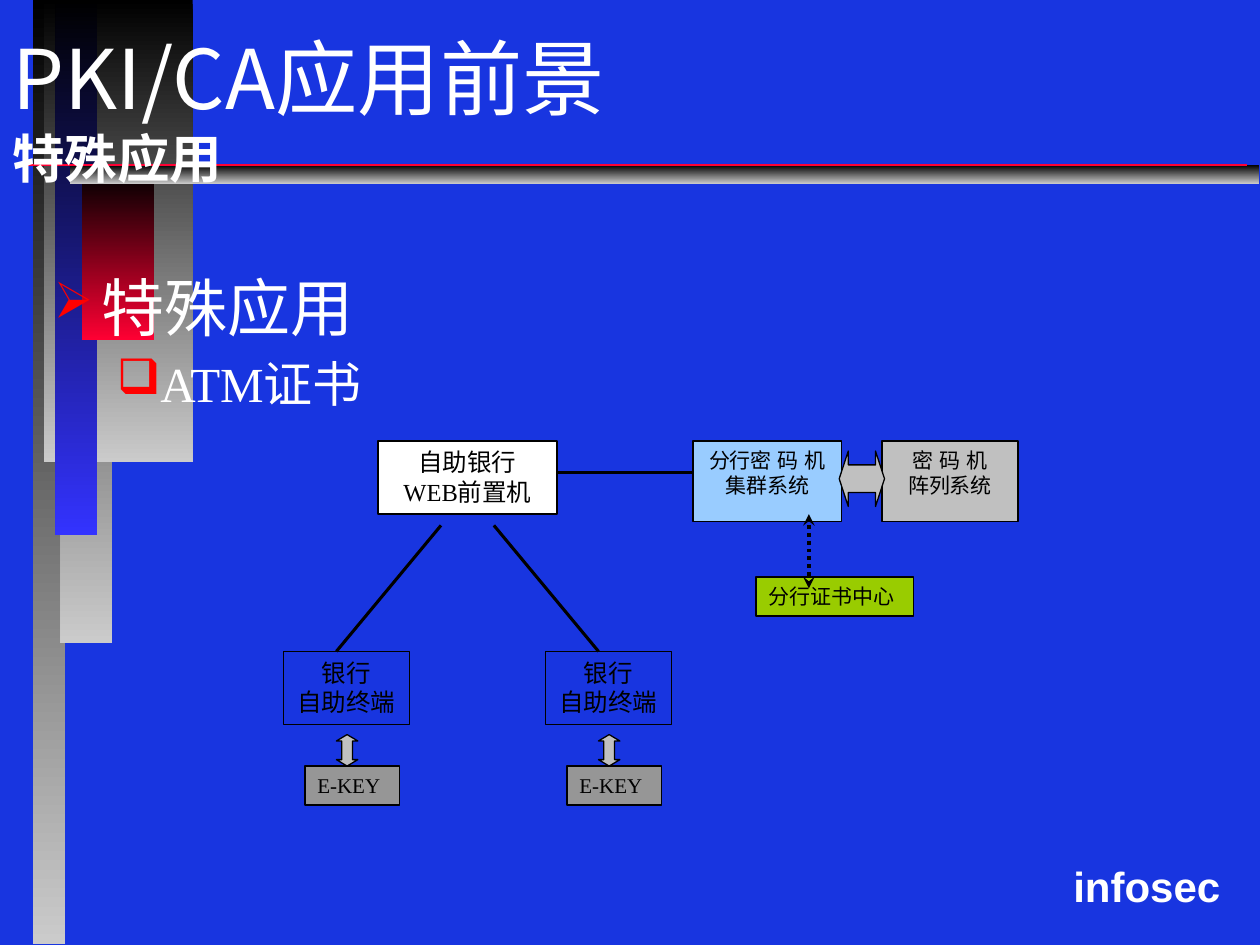
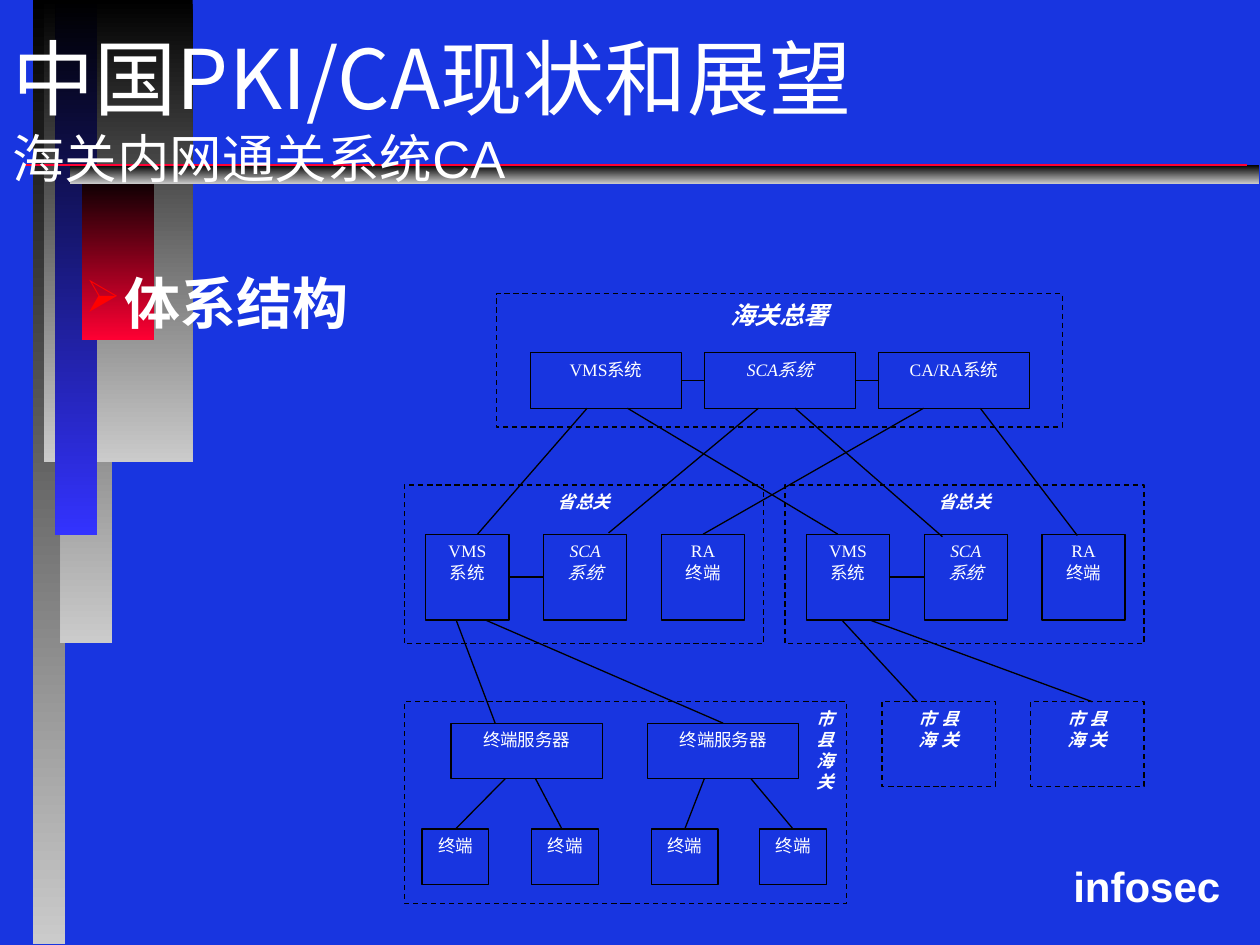
from dataclasses import dataclass

from lxml import etree
from pptx import Presentation
from pptx.dml.color import RGBColor
from pptx.enum import dml, shapes, text
from pptx.oxml import ns
from pptx.util import Inches, Pt


@dataclass(frozen=True)
class Theme:
    background: str = "1835E0"
    white: str = "FFFFFF"
    black: str = "000000"
    red: str = "FF0033"
    bullet: str = "FF0000"
    band_gray: str = "CBCBCB"
    band_blue: str = "3333FF"
    sky: str = "99CCFF"
    silver: str = "C0C0C0"
    gray: str = "969696"
    green: str = "99CC00"
    serif: str = "Times New Roman"
    sans: str = "Arial"
    heading: str = "Noto Sans CJK SC"
    title_size: float = 47
    subtitle_size: float = 30
    topic_size: float = 36
    subtopic_size: float = 32
    detail_size: float = 28
    brand_size: float = 24
    node_size: float = 14
    label_size: float = 12
    small_size: float = 10
    thin: float = 0.75


THEME = Theme()
CENTER, LEFT, RIGHT = text.PP_ALIGN.CENTER, text.PP_ALIGN.LEFT, text.PP_ALIGN.RIGHT
TOP_SIDE, LEFT_SIDE, RIGHT_SIDE = 0, 1, 3
RECTANGLE = shapes.MSO_SHAPE.RECTANGLE
DASH = dml.MSO_LINE.DASH


def rgb(color):
    return RGBColor.from_string(color)


# Text helpers
def set_font(font, properties, size, name=THEME.serif, color=THEME.white, bold=False, italic=False):
    font.size, font.name = Pt(size), name
    font.bold, font.italic = bold, italic
    font.color.rgb = rgb(color)
    # Chinese characters stay sans serif beside serif Latin letters
    chinese = THEME.sans if name == THEME.serif else name
    east_asian = etree.Element(ns.qn("a:ea"), typeface=chinese)
    properties.find(ns.qn("a:latin")).addnext(east_asian)


def style_paragraph(paragraph, size, **style):
    font = paragraph.font
    set_font(font, paragraph._p.pPr.find(ns.qn("a:defRPr")), size, **style)


def add_text_box(slide, left, top, width, height):
    box = slide.shapes.add_textbox(Inches(left), Inches(top), Inches(width), Inches(height))
    box.text_frame.word_wrap = True
    return box.text_frame


def add_title(slide, title, subtitle, **subtitle_style):
    frame = add_text_box(slide, 0, 0, 10, 1.55)
    frame.vertical_anchor = text.MSO_ANCHOR.BOTTOM
    paragraph = frame.paragraphs[0]
    run = paragraph.add_run()
    run.text = title
    set_font(run.font, run.font._element, THEME.title_size, name=THEME.heading)
    paragraph.add_line_break()
    run = paragraph.add_run()
    run.text = subtitle
    set_font(run.font, run.font._element, THEME.subtitle_size, **subtitle_style)


def style_bullet(paragraph, mark, margin, hanging, percent=100):
    properties = paragraph._p.get_or_add_pPr()
    properties.set("marL", str(Inches(margin)))
    properties.set("indent", str(-Inches(hanging)))
    color = etree.SubElement(properties, ns.qn("a:buClr"))
    etree.SubElement(color, ns.qn("a:srgbClr"), val=THEME.bullet)
    etree.SubElement(properties, ns.qn("a:buSzPct"), val=str(percent * 1000))
    etree.SubElement(properties, ns.qn("a:buChar"), char=mark)


# Shape helpers
def add_shape(slide, kind, left, top, width, height, fill=None, dash=None):
    shape = slide.shapes.add_shape(kind, Inches(left), Inches(top), Inches(width), Inches(height))
    shape.shadow.inherit = False
    if fill:
        shape.fill.solid()
        shape.fill.fore_color.rgb = rgb(fill)
    else:
        shape.fill.background()
    shape.line.color.rgb = rgb(THEME.black)
    shape.line.width = Pt(THEME.thin)
    if dash:
        shape.line.dash_style = dash
    return shape


def add_box(slide, label, left, top, width, height, size=THEME.small_size,
            fill=None, dash=None, align=CENTER, **style):
    box = add_shape(slide, RECTANGLE, left, top, width, height, fill, dash)
    frame = box.text_frame
    frame.word_wrap = True
    frame.vertical_anchor = text.MSO_ANCHOR.TOP
    frame.text = label
    for paragraph in frame.paragraphs:
        paragraph.alignment = align
        style_paragraph(paragraph, size, **style)
    return box


def add_double_arrow(slide, left, top, width, height, head, rotation=0):
    arrow = add_shape(slide, shapes.MSO_SHAPE.UP_DOWN_ARROW, left, top, width, height, THEME.silver)
    arrow.rotation = rotation
    # Shaft width and head length
    guides = arrow._element.spPr.find(ns.qn("a:prstGeom")).find(ns.qn("a:avLst"))
    for guide in list(guides):
        guides.remove(guide)
    for name, share in (("adj1", 0.5), ("adj2", head)):
        etree.SubElement(guides, ns.qn("a:gd"), name=name, fmla=f"val {round(share * 100000)}")


def add_line(slide, start, end, width=THEME.thin, color=THEME.black, dash=None,
             arrowheads=None, begin_at=None, end_at=None):
    points = [Inches(value) for value in (*start, *end)]
    line = slide.shapes.add_connector(shapes.MSO_CONNECTOR.STRAIGHT, *points)
    if begin_at:
        line.begin_connect(*begin_at)
    if end_at:
        line.end_connect(*end_at)
    line.line.color.rgb = rgb(color)
    line.line.width = Pt(width)
    if dash:
        line.line.dash_style = dash
    if arrowheads:
        outline = line.line._get_or_add_ln()
        for tag in ("a:headEnd", "a:tailEnd"):
            etree.SubElement(outline, ns.qn(tag), type=arrowheads)
    etree.SubElement(line._element.spPr, ns.qn("a:effectLst"))


def join_sides(slide, left_box, right_box):
    add_line(slide, (0, 0), (0, 0), begin_at=(left_box, RIGHT_SIDE), end_at=(right_box, LEFT_SIDE))


# Shared background, bands, rule and footer
def add_band(slide, left, top, width, height, end_color):
    band = add_shape(slide, RECTANGLE, left, top, width, height)
    band.line.fill.background()
    band.fill.gradient()
    band.fill.gradient_angle = 270
    for stop, color in zip(band.fill.gradient_stops, (THEME.black, end_color)):
        stop.color.rgb = rgb(color)


def add_base_slide(presentation):
    slide = presentation.slides.add_slide(presentation.slide_layouts[6])
    slide.background.fill.solid()
    slide.background.fill.fore_color.rgb = rgb(THEME.background)
    for band in (
        (0.26, 0, 0.26, 7.49, THEME.band_gray),
        (0.48, 0, 0.41, 5.1, THEME.band_gray),
        (0.35, 0, 1.18, 3.67, THEME.band_gray),
        (0.44, 0, 0.33, 4.25, THEME.band_blue),
        (0.65, 1.37, 0.57, 1.33, THEME.red),
        (0.56, 1.31, 9.43, 0.15, THEME.band_gray),
    ):
        add_band(slide, *band)
    add_line(slide, (0.18, 1.31), (9.9, 1.31), width=1, color=THEME.red)
    footer = add_text_box(slide, 8.42, 6.78, 1.45, 0.5)
    footer.text = "infosec"
    style_paragraph(footer.paragraphs[0], THEME.brand_size, name=THEME.sans, bold=True)
    return slide


# Slide 1: certificates for cash machines
def build_atm_slide(presentation):
    slide = add_base_slide(presentation)
    add_title(slide, "PKI/CA应用前景", "特殊应用", bold=True)

    body = add_text_box(slide, 0.33, 2.08, 8.5, 4.5)
    body.text = "特殊应用\nATM证书"
    topic, detail = body.paragraphs
    style_bullet(topic, "➢", 0.38, 0.38, percent=80)
    style_paragraph(topic, THEME.topic_size)
    detail.level = 1
    detail.space_before = Pt(5.6)
    style_bullet(detail, "❑", 0.81, 0.31)
    style_paragraph(detail, THEME.detail_size)

    # Branch encryption systems and certificate centre
    label = dict(size=THEME.label_size, color=THEME.black)
    node = dict(size=THEME.node_size, color=THEME.black)
    add_box(slide, "分行密 码 机\n集群系统", 5.5, 3.5, 1.18, 0.64, fill=THEME.sky, **label)
    add_box(slide, "密 码 机\n阵列系统", 7, 3.5, 1.08, 0.64, fill=THEME.silver, **label)
    add_double_arrow(slide, 6.62, 3.62, 0.44, 0.36, head=0.2, rotation=90)
    add_box(slide, "分行证书中心", 6, 4.58, 1.25, 0.31, fill=THEME.green, align=LEFT, **label)
    add_line(slide, (6.42, 4.08), (6.42, 4.67), width=2.25,
             dash=dml.MSO_LINE.ROUND_DOT, arrowheads="stealth")

    # Self-service terminals with their keys
    for left in (2.25, 4.33):
        add_box(slide, "银行\n自助终端", left, 5.17, 1, 0.58, **node)
        add_box(slide, "E-KEY", left + 0.17, 6.08, 0.75, 0.31, fill=THEME.gray, align=LEFT, **label)
        add_double_arrow(slide, left + 0.42, 5.83, 0.17, 0.25, head=0.3)

    # Front-end server and its links
    add_box(slide, "自助银行\nWEB前置机", 3, 3.5, 1.42, 0.58, fill=THEME.white, **node)
    add_line(slide, (3.5, 4.17), (2.67, 5.17), width=1.75)
    add_line(slide, (3.92, 4.17), (4.75, 5.17), width=1.75)
    add_line(slide, (4.42, 3.75), (5.5, 3.75), width=2.25)


# Slide 2: customs network
def add_province(slide, left):
    add_box(slide, "省总关", left, 3.85, 2.85, 1.26, dash=DASH, bold=True, italic=True)
    units = ("VMS\n系统", "SCA\n系统", "RA\n终端")
    vms, sca, ra = [
        add_box(slide, unit, left + 0.17 + 0.935 * index, 4.24, 0.66, 0.68,
                italic=unit.startswith("SCA"))
        for index, unit in enumerate(units)
    ]
    join_sides(slide, vms, sca)
    return ra


def build_customs_slide(presentation):
    slide = add_base_slide(presentation)
    add_title(slide, "中国PKI/CA现状和展望", "海关内网通关系统CA", name=THEME.sans)

    body = add_text_box(slide, 0.58, 2.08, 8.5, 2.83)
    body.text = "体系结构"
    topic = body.paragraphs[0]
    style_bullet(topic, "➢", 0.31, 0.31, percent=80)
    style_paragraph(topic, THEME.subtopic_size, bold=True)

    # Head office
    emphasis = dict(dash=DASH, bold=True, italic=True)
    add_box(slide, "海关总署", 3.94, 2.33, 4.49, 1.06, size=THEME.node_size, **emphasis)
    systems = [
        add_box(slide, name, 4.21 + 1.38 * index, 2.8, 1.2, 0.44, italic=name.startswith("SCA"))
        for index, name in enumerate(("VMS系统", "SCA系统", "CA/RA系统"))
    ]
    for left_box, right_box in zip(systems, systems[1:]):
        join_sides(slide, left_box, right_box)

    # Provinces
    first_ra = add_province(slide, 3.21)
    add_province(slide, 6.23)

    # City and county offices
    add_box(slide, "市\n县\n海\n关", 3.21, 5.57, 3.51, 1.6, align=RIGHT, **emphasis)
    servers = [add_box(slide, "终端服务器", left, 5.74, 1.2, 0.44) for left in (3.58, 5.14)]
    terminals = [add_box(slide, "终端", left, 6.58, 0.53, 0.44) for left in (3.35, 4.22, 5.17, 6.03)]
    for left in (7, 8.18):
        add_box(slide, "市 县\n海 关", left, 5.57, 0.9, 0.67, **emphasis)

    # Links that end at the middle of a side
    for start, box in (
        ((7.33, 3.24), first_ra),
        ((3.85, 4.92), servers[1]),
        ((4.01, 6.18), terminals[0]),
        ((5.59, 6.18), terminals[2]),
        ((5.96, 6.18), terminals[3]),
    ):
        add_line(slide, start, start, end_at=(box, TOP_SIDE))

    # Free links
    for start, end in (
        ((4.66, 3.24), (3.79, 4.24)),
        ((4.98, 3.24), (6.65, 4.24)),
        ((6.02, 3.24), (4.83, 4.23)),
        ((6.31, 3.24), (7.48, 4.26)),
        ((7.78, 3.24), (8.55, 4.25)),
        ((3.62, 4.92), (3.93, 5.74)),
        ((6.68, 4.92), (7.28, 5.57)),
        ((6.9, 4.92), (8.67, 5.57)),
        ((4.25, 6.18), (4.46, 6.58)),
    ):
        add_line(slide, start, end)


def main():
    presentation = Presentation()
    presentation.slide_width, presentation.slide_height = Inches(10), Inches(7.5)
    build_atm_slide(presentation)
    build_customs_slide(presentation)
    presentation.save("out.pptx")


if __name__ == "__main__":
    main()
